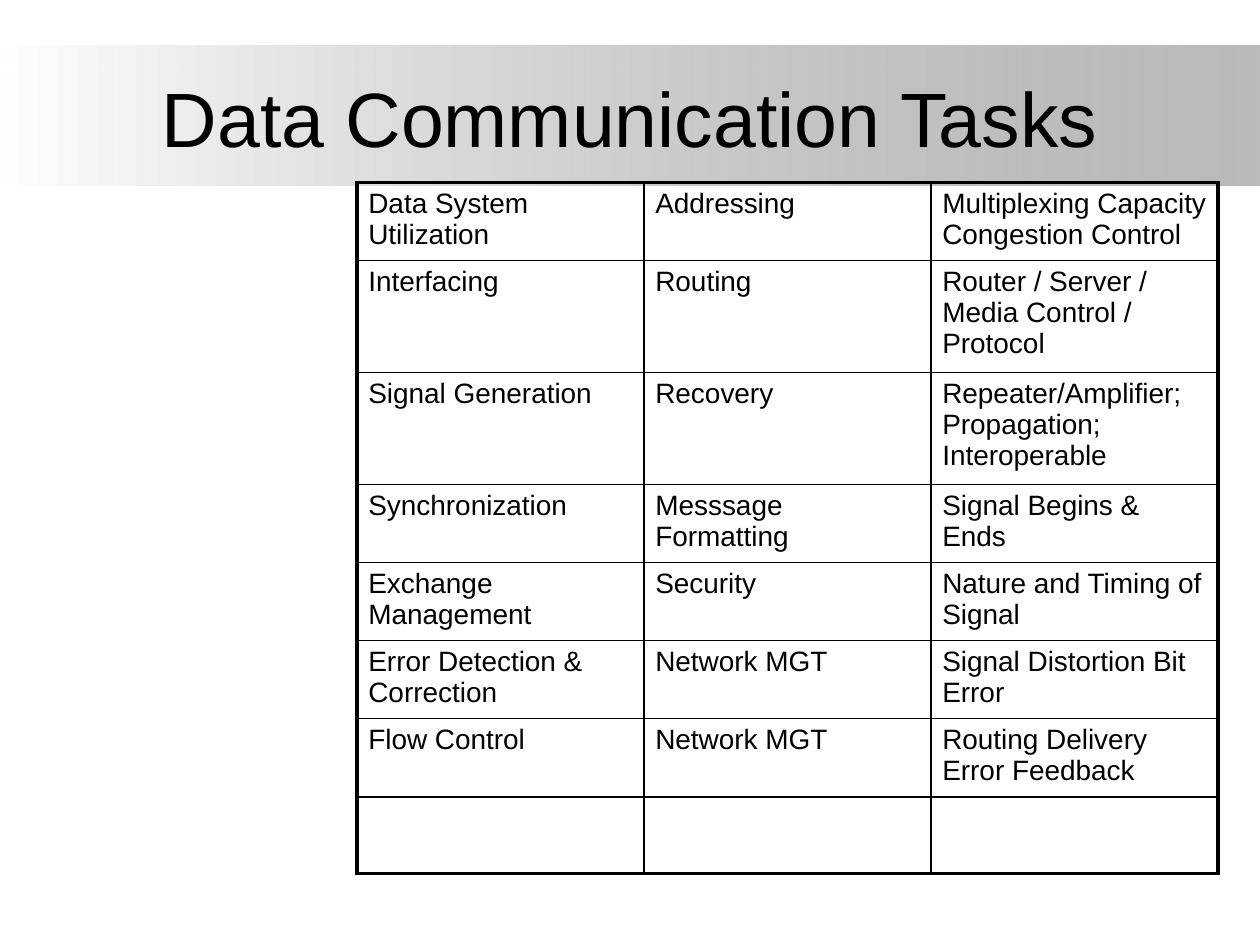
from lxml.etree import SubElement
from pptx import Presentation
from pptx.dml.color import RGBColor
from pptx.enum.shapes import MSO_SHAPE as Shape
from pptx.enum.text import MSO_ANCHOR as Anchor, PP_ALIGN as Align
from pptx.oxml.ns import qn
from pptx.util import Pt

TITLE = "Data Communication Tasks"
TASKS = [
    ("Data System Utilization", "Addressing", "Multiplexing Capacity Congestion Control"),
    ("Interfacing", "Routing", "Router / Server / Media Control / Protocol"),
    ("Signal Generation", "Recovery", "Repeater/Amplifier; Propagation; Interoperable"),
    ("Synchronization", "Messsage Formatting", "Signal Begins & Ends"),
    ("Exchange Management", "Security", "Nature and Timing of Signal"),
    ("Error Detection & Correction", "Network MGT", "Signal Distortion Bit Error"),
    ("Flow Control", "Network MGT", "Routing Delivery Error Feedback"),
    ("", "", ""),
]
HEIGHTS = [44.6, 64, 64, 44.6, 44.6, 44.6, 44.6, 44]
COL = 164
THIN, THICK = 1, 2.25
BLACK, GREY, WHITE = "000000", "808080", "FFFFFF"


def color(code):
    return RGBColor.from_string(code)


def style(para, size):
    para.font.name = "Arial"
    para.font.size = Pt(size)
    para.font.color.rgb = color(BLACK)


def border(cell, side, width):
    line = SubElement(cell._tc.get_or_add_tcPr(), qn(f"a:ln{side}"), w=str(Pt(width)))
    fill = SubElement(line, qn("a:solidFill"))
    SubElement(fill, qn("a:srgbClr"), val=BLACK)


def add_band(slide):
    """Draw the strip behind the title, fading from white to clear grey."""
    band = slide.shapes.add_shape(Shape.RECTANGLE, 0, Pt(26), Pt(720), Pt(80))
    band.shadow.inherit = False
    band.line.fill.background()
    band.fill.gradient()
    band.fill.gradient_angle = 0
    for stop, code, place in zip(band.fill.gradient_stops, (WHITE, GREY), (0, 1)):
        stop.color.rgb = color(code)
        stop.position = place
    grey = band._element.spPr.findall(".//" + qn("a:srgbClr"))[-1]
    SubElement(grey, qn("a:alpha"), val="54000")


def add_title(slide):
    frame = slide.shapes.add_textbox(Pt(36), Pt(21.6), Pt(648), Pt(90)).text_frame
    frame.word_wrap = True
    frame.vertical_anchor = Anchor.MIDDLE
    para = frame.paragraphs[0]
    para.text = TITLE
    para.alignment = Align.CENTER
    style(para, 44)


def add_tasks(slide):
    rows, cols = len(TASKS), len(TASKS[0])
    table = slide.shapes.add_table(
        rows, cols, Pt(204), Pt(104.4), Pt(COL * cols), Pt(sum(HEIGHTS))).table
    table.first_row = table.horz_banding = False
    for col in table.columns:
        col.width = Pt(COL)
    for r, (texts, height) in enumerate(zip(TASKS, HEIGHTS)):
        table.rows[r].height = Pt(height)
        for c, text in enumerate(texts):
            cell = table.cell(r, c)
            edges = {"L": c == 0, "R": c == cols - 1, "T": r == 0, "B": r == rows - 1}
            for side, outer in edges.items():
                border(cell, side, THICK if outer else THIN)
            cell.fill.background()
            cell.margin_left = cell.margin_right = Pt(6.5)
            cell.margin_top = cell.margin_bottom = Pt(3)
            cell.text = text
            style(cell.text_frame.paragraphs[0], 16)


def main():
    deck = Presentation()
    deck.slide_width, deck.slide_height = Pt(720), Pt(540)
    slide = deck.slides.add_slide(deck.slide_layouts[6])
    add_band(slide)
    add_title(slide)
    add_tasks(slide)
    deck.save("out.pptx")


if __name__ == "__main__":
    main()
